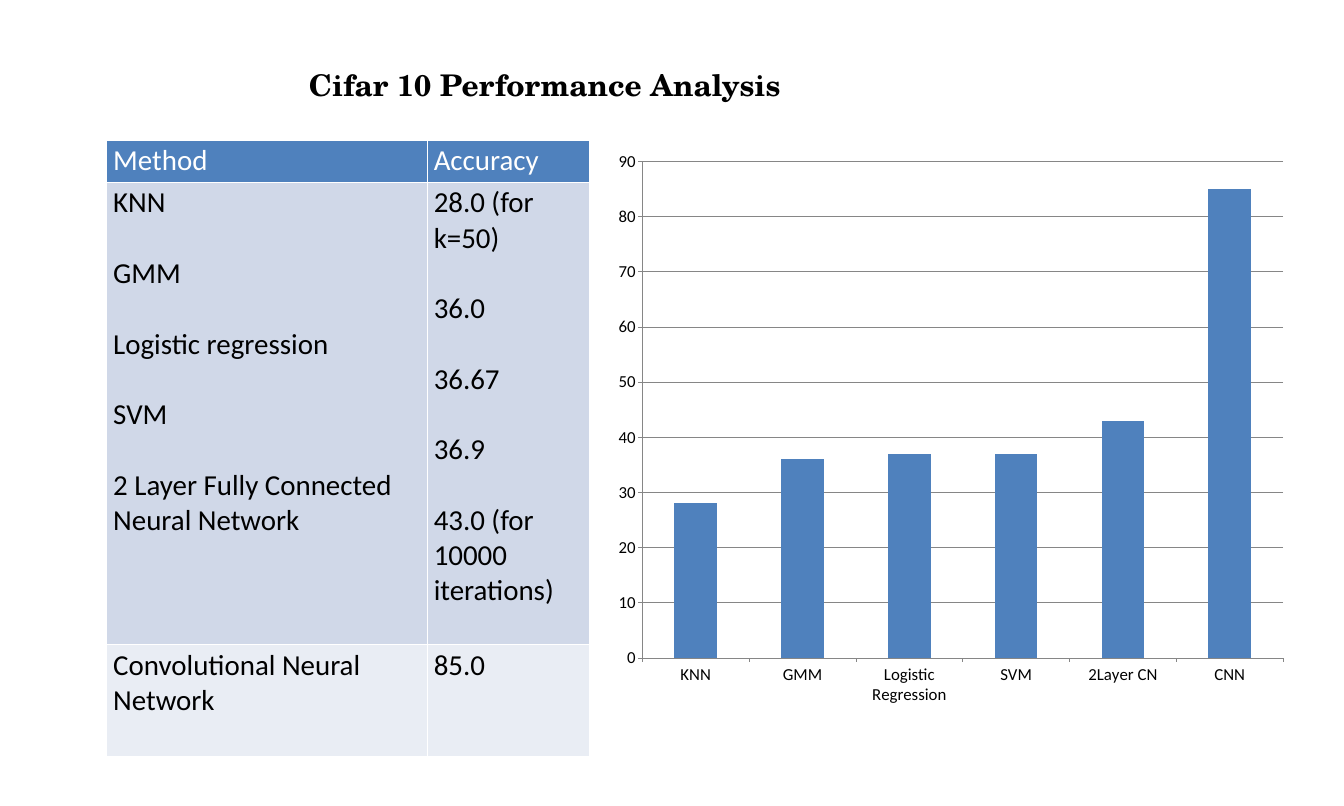
from lxml import etree
from pptx import Presentation
from pptx import util as u
from pptx.chart.data import CategoryChartData
from pptx.dml.color import RGBColor
from pptx.enum import chart as ch
from pptx.oxml.ns import qn

COLS, ROWS = 200, 120
UNIT = u.Inches(0.1)
BLUE, GRAY = "4F81BD", "868686"
LINE_GAP = 37.8


def color(fmt, value):
    if hasattr(fmt, "solid"):
        fmt.solid()
        fmt = fmt.fore_color
    fmt.rgb = RGBColor.from_string(value)


def grid(*cells):
    return [round(c * UNIT) for c in cells]


prs = Presentation()
prs.slide_width, prs.slide_height = grid(COLS, ROWS)
s = prs.slides.add_slide(prs.slide_layouts[6])

data = CategoryChartData()
data.categories = ["KNN", "GMM", "Logistic Regression", "SVM", "2Layer CN", "CNN"]
data.add_series("Series 1", [28, 36, 37, 37, 43, 85])
chart = s.shapes.add_chart(
    ch.XL_CHART_TYPE.COLUMN_CLUSTERED, *grid(90, 20.8, 103, 85.9), data
).chart
chart.has_legend = chart.has_title = False
for k, v in {"name": "Calibri", "size": u.Pt(18)}.items():
    setattr(chart.font, k, v)
color(chart.font.color, "000000")
plot = chart.plots[0]
plot.gap_width, plot.vary_by_categories = 150, False
color(plot.series[0].format.fill, BLUE)
val, cat = chart.value_axis, chart.category_axis
axis_format = {"minimum_scale": 0, "maximum_scale": 90, "major_unit": 10,
               "has_major_gridlines": True}
for k, v in axis_format.items():
    setattr(val, k, v)
for axis in (val, cat):
    axis.major_tick_mark = ch.XL_TICK_MARK.OUTSIDE
for line in (val.format.line, cat.format.line, val.major_gridlines.format.line):
    color(line.fill, GRAY)
    line.width = u.Pt(0.75)

rows = [
    ("FFFFFF", BLUE, 6.2, [["Method"], ["Accuracy"]]),
    ("000000", "D0D8E8", 68.8, [
        ["KNN", "GMM", "Logistic regression", "SVM",
         "2 Layer Fully Connected\nNeural Network"],
        ["28.0 (for k=50)", "36.0", "36.67", "36.9", "43.0 (for 10000 iterations)"],
    ]),
    ("000000", "E9EDF4", 16.7, [["Convolutional Neural Network"], ["85.0"]]),
]
table = s.shapes.add_table(len(rows), 2, *grid(15.85, 20.85, 71.8, 91.7)).table
for col, width in zip(table.columns, grid(47.7, 24.1)):
    col.width = width
for i, (ink, fill, height, cells) in enumerate(rows):
    table.rows[i].height = grid(height)[0]
    for j, entries in enumerate(cells):
        cell = table.cell(i, j)
        tcPr = cell._tc.get_or_add_tcPr()
        for side in "LRTB":
            ln = etree.SubElement(tcPr, qn(f"a:ln{side}"), w=str(u.Pt(1)))
            solid = etree.SubElement(ln, qn("a:solidFill"))
            etree.SubElement(solid, qn("a:srgbClr"), val="FFFFFF")
        color(cell.fill, fill)
        tf = cell.text_frame
        for n, entry in enumerate(entries):
            for m, line in enumerate(entry.split("\n")):
                p = tf.add_paragraph() if n or m else tf.paragraphs[0]
                p.space_before = u.Pt(LINE_GAP if n and not m else 0)
                r = p.add_run()
                r.text = line
                for k, v in {"name": "Calibri", "size": u.Pt(31), "bold": False}.items():
                    setattr(r.font, k, v)
                color(r.font.color, ink)

tf = s.shapes.add_textbox(*grid(45, 9.5, 113.3, 6.4)).text_frame
tf.word_wrap = True
r = tf.paragraphs[0].add_run()
r.text = "Cifar 10 Performance Analysis"
for k, v in {"name": "TeX Gyre Schola", "size": u.Pt(32), "bold": True}.items():
    setattr(r.font, k, v)
color(r.font.color, "000000")

prs.save("out.pptx")
